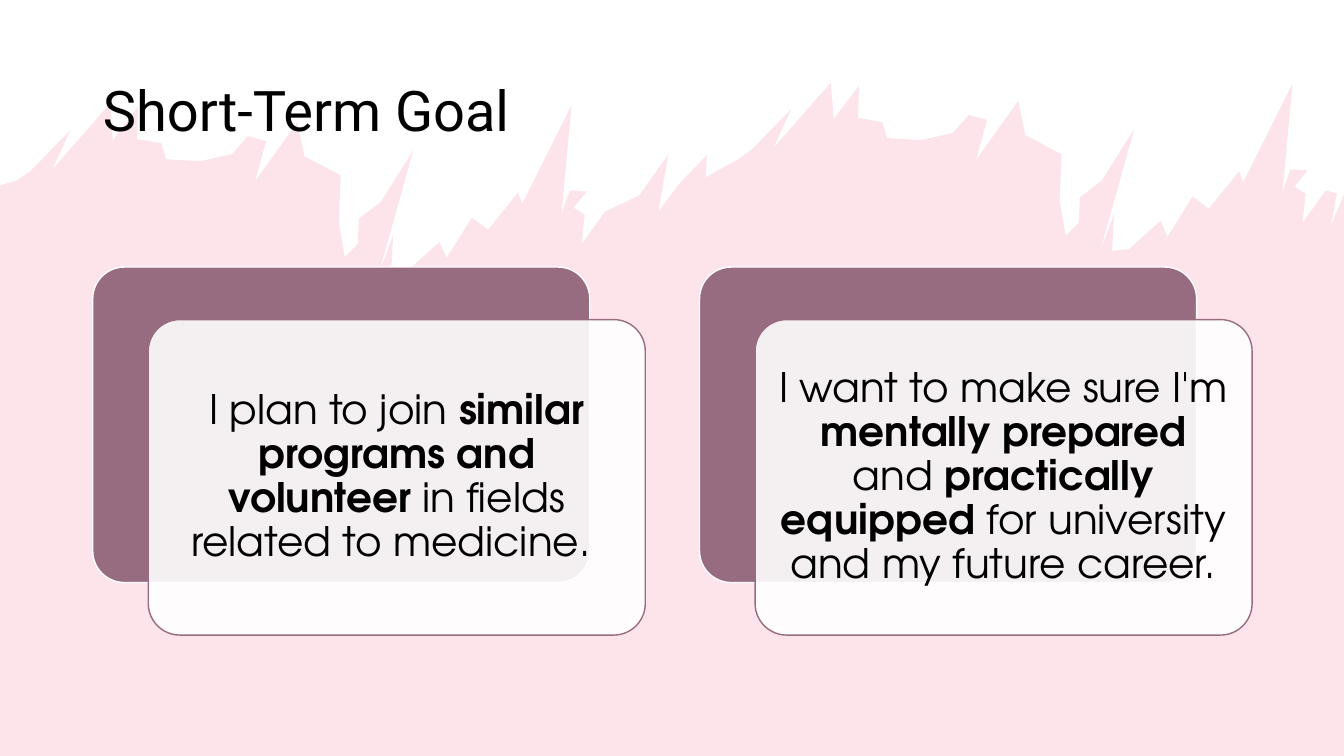
from dataclasses import dataclass

from lxml import etree
from pptx import Presentation
from pptx import util as u
from pptx.dml.color import RGBColor
from pptx.enum import shapes, text
from pptx.oxml.ns import qn


@dataclass(frozen=True)
class Theme:
    ink: str = "000000"
    white: str = "FFFFFF"
    mauve: str = "976C80"
    rose: str = "F07C98"
    rose_opacity: int = 20
    card_opacity: int = 90
    title_font: str = "Roboto"
    body_font: str = "TeX Gyre Adventor"
    title_size: int = 40
    body_size: int = 29


THEME = Theme()
WIDTH, HEIGHT = 13.33, 7.5
COLUMN, ROW = WIDTH / 100, HEIGHT / 100
CARD_COLUMNS, CARD_ROWS = 36.98, 41.73
CARD_LEFT, CARD_TOP, CARD_PITCH = 6.9, 35.33, 45.15
FRONT_RIGHT, FRONT_DOWN = 4.13, 6.95

CARDS = [
    [("I plan to join ", False), ("similar programs and volunteer", True),
     (" in fields related to medicine. ", False)],
    [("I want to make sure I'm ", False), ("mentally prepared", True),
     (" and ", False), ("practically equipped", True),
     (" for university and my future career.", False)],
]

RIDGE_REPEAT, RIDGE_RISE = 7.15, 0.21
RIDGE = [
    (0.17, 1.79), (0.3, 1.7), (0.7, 1.29), (0.52, 1.68), (1.09, 1.03), (1.12, 1.39),
    (1.37, 1.06), (1.36, 1.38), (1.6, 1.42), (1.65, 1.58), (1.98, 1.6), (2.3, 1.53),
    (2.46, 1.35), (2.64, 1.4), (2.53, 1.8), (2.95, 1.21), (3.02, 1.55), (3.38, 1.74),
    (3.36, 2.2), (3.42, 2.55), (3.55, 2.42), (3.56, 2.17), (3.78, 2), (4.1, 1.49),
    (3.76, 2.71), (3.9, 2.33), (3.88, 2.7), (4.05, 2.68), (4.36, 2.4), (4.43, 2.56),
    (4.68, 2.16), (4.84, 2.28), (5.14, 1.91), (5.18, 2.02), (5.67, 1.04), (5.57, 2.12),
    (5.65, 1.89), (5.82, 1.9), (5.69, 2.06), (5.8, 2.13), (5.77, 2.42), (6, 2.1),
]
RIDGE_LINK = [(6.34, 1.94), (6.63, 1.53), (6.53, 2.1), (6.74, 1.82), (7.01, 1.54), (7, 1.76)]
RIDGE_END = [(13.26, 1.92), (13.2, 2.24), (WIDTH, 1.93)]


def grid_box(left, top, columns, rows):
    return [u.Inches(n) for n in (left * COLUMN, top * ROW, columns * COLUMN, rows * ROW)]


def paint(shape, color, opacity=100, line=None):
    shape.shadow.inherit = False
    shape.fill.solid()
    shape.fill.fore_color.rgb = RGBColor.from_string(color)
    if opacity < 100:
        tint = shape.fill._xPr.find(qn("a:solidFill"))[0]
        etree.SubElement(tint, qn("a:alpha"), val=str(opacity * 1000))
    if line:
        shape.line.color.rgb = RGBColor.from_string(line)
        shape.line.width = u.Pt(1)
    else:
        shape.line.fill.background()


def add_span(para, words, font, size, bold=None):
    span = para.add_run()
    span.text = words
    span.font.name = font
    span.font.size = u.Pt(size)
    span.font.bold = bold
    span.font.color.rgb = RGBColor.from_string(THEME.ink)


def add_ridge(page):
    repeated = [(x + RIDGE_REPEAT, y - RIDGE_RISE) for x, y in RIDGE]
    outline = [(0, HEIGHT), (0, 1.84), *RIDGE, *RIDGE_LINK, *repeated, *RIDGE_END,
               (WIDTH, HEIGHT)]
    corners = [(u.Inches(x), u.Inches(y)) for x, y in outline]
    builder = page.shapes.build_freeform(*corners[0])
    builder.add_line_segments(corners[1:], close=True)
    paint(builder.convert_to_shape(), THEME.rose, THEME.rose_opacity)


def set_title(page, words):
    box = page.shapes.title
    box.left, box.top, box.width, box.height = grid_box(6.9, 5.33, 86.27, 19.33)
    box.text_frame.word_wrap = True
    box.text_frame.vertical_anchor = text.MSO_ANCHOR.MIDDLE
    para = box.text_frame.paragraphs[0]
    para.alignment = text.PP_ALIGN.LEFT
    para.line_spacing = 0.9
    add_span(para, words, THEME.title_font, THEME.title_size)


def add_panel(page, left, top):
    panel = page.shapes.add_shape(shapes.MSO_SHAPE.ROUNDED_RECTANGLE,
                                  *grid_box(left, top, CARD_COLUMNS, CARD_ROWS))
    panel.adjustments[0] = 0.1
    return panel


def add_card(page, left, top, spans):
    paint(add_panel(page, left, top), THEME.mauve, line=THEME.white)
    front = add_panel(page, left + FRONT_RIGHT, top + FRONT_DOWN)
    paint(front, THEME.white, THEME.card_opacity, THEME.mauve)
    frame = front.text_frame
    frame.word_wrap = True
    frame.vertical_anchor = text.MSO_ANCHOR.MIDDLE
    frame.margin_left = frame.margin_right = u.Inches(0.12)
    frame.margin_top = frame.margin_bottom = u.Inches(0.12)
    para = frame.paragraphs[0]
    para.alignment = text.PP_ALIGN.CENTER
    para.line_spacing = 0.9
    for words, bold in spans:
        add_span(para, words, THEME.body_font, THEME.body_size, bold)


def main():
    deck = Presentation()
    deck.slide_width, deck.slide_height = u.Inches(WIDTH), u.Inches(HEIGHT)
    page = deck.slides.add_slide(deck.slide_layouts[5])
    add_ridge(page)
    set_title(page, "Short-Term Goal")
    page.shapes._spTree.append(page.shapes.title._element)
    for index, spans in enumerate(CARDS):
        add_card(page, CARD_LEFT + index * CARD_PITCH, CARD_TOP, spans)
    deck.save("out.pptx")


if __name__ == "__main__":
    main()
